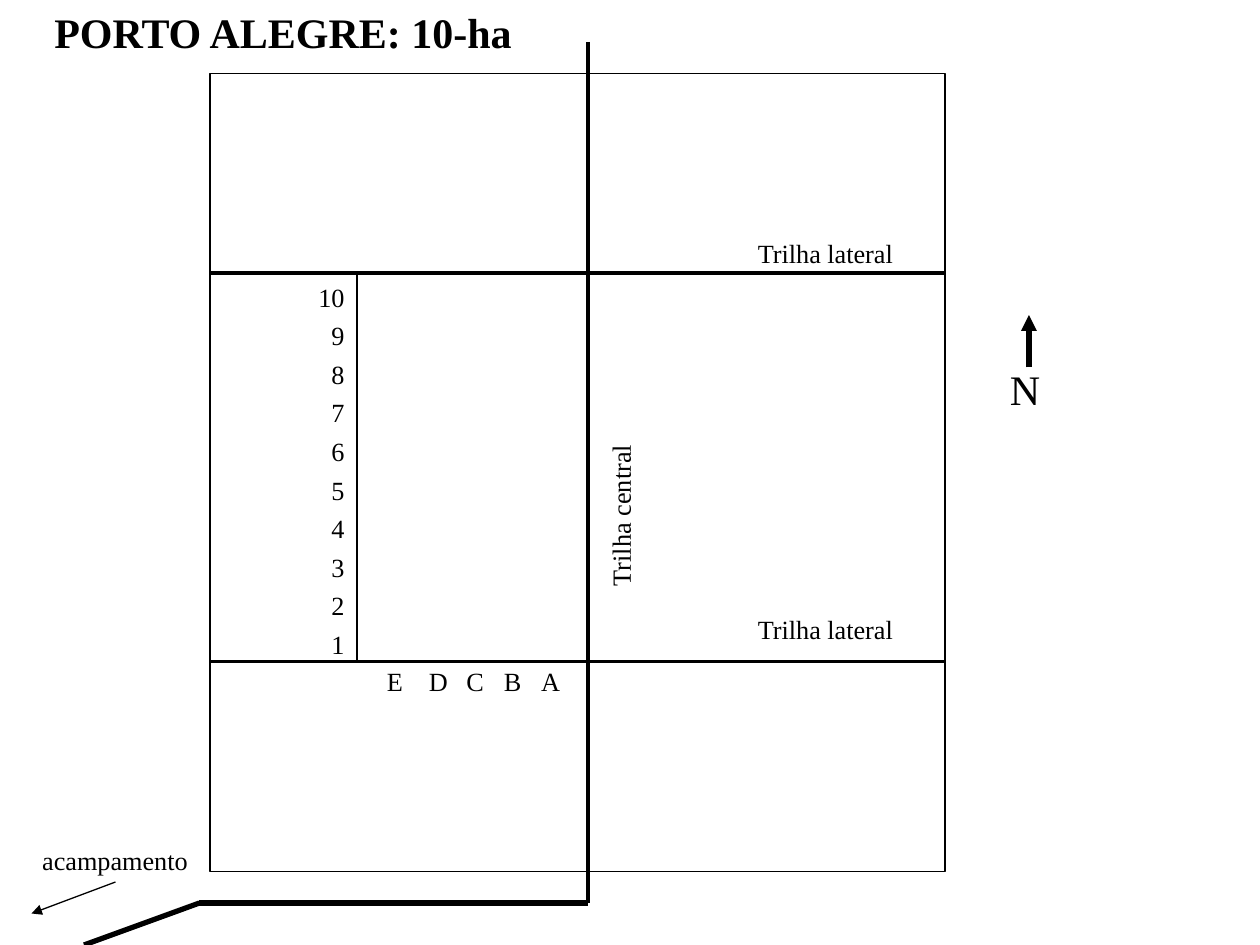
import pptx
import pptx.dml.color
import pptx.enum.shapes
import pptx.enum.text
import pptx.oxml.ns
import pptx.util
from lxml import etree

Pt = pptx.util.Pt
qn = pptx.oxml.ns.qn
BLACK = pptx.dml.color.RGBColor(0, 0, 0)
FONT = "Times New Roman"
LABEL_SIZE = 15


def add_line(slide, start, end, weight, arrow=False):
    line = slide.shapes.add_connector(
        pptx.enum.shapes.MSO_CONNECTOR.STRAIGHT,
        *(Pt(value) for value in (*start, *end)))
    line.line.color.rgb = BLACK
    line.line.width = Pt(weight)
    properties = line._element.spPr
    if arrow:
        outline = properties.find(qn("a:ln"))
        etree.SubElement(outline, qn("a:tailEnd"), type="triangle")
    etree.SubElement(properties, qn("a:effectLst"))


def add_outline(slide, left, top, width, height):
    outline = slide.shapes.add_shape(
        pptx.enum.shapes.MSO_SHAPE.RECTANGLE,
        Pt(left), Pt(top), Pt(width), Pt(height))
    outline.shadow.inherit = False
    outline.fill.background()
    outline.line.color.rgb = BLACK
    outline.line.width = Pt(0.75)


def add_label(slide, box, lines, size=LABEL_SIZE, bold=False, align=None,
              line_spacing=None, space_before=0, tab_stops=()):
    label = slide.shapes.add_textbox(*(Pt(value) for value in box))
    frame = label.text_frame
    frame.word_wrap = True
    for index, line in enumerate(lines):
        paragraph = frame.add_paragraph() if index else frame.paragraphs[0]
        if tab_stops:
            tabs = etree.SubElement(
                paragraph._p.get_or_add_pPr(), qn("a:tabLst"))
            for stop in tab_stops:
                etree.SubElement(
                    tabs, qn("a:tab"), pos=str(int(Pt(stop))), algn="l")
        paragraph.alignment = align
        paragraph.line_spacing = line_spacing
        if index:
            paragraph.space_before = Pt(space_before)
        run = paragraph.add_run()
        run.text = line
        run.font.name = FONT
        run.font.size = Pt(size)
        run.font.bold = bold
        run.font.color.rgb = BLACK
    return label


def add_plot(slide, left, top, width, height):
    """Plot outline, gridded area, lateral trails and central trail."""
    right = left + width
    grid_left, grid_top = left + 84, top + 114
    grid_width, grid_height = 132, 222
    grid_bottom = grid_top + grid_height
    central_x = grid_left + grid_width

    add_outline(slide, left, top, width, height)
    add_outline(slide, grid_left, grid_top, grid_width, grid_height)

    # Trails
    add_line(slide, (central_x, top - 18), (central_x, top + height + 18), 2.25)
    for trail_y in (grid_top, grid_bottom):
        add_line(slide, (left, trail_y), (right, trail_y), 2.25)
    for label_top in (grid_top - 24, grid_bottom - 31):
        add_label(slide, (right - 114, label_top, 150, 25), ["Trilha lateral"])
    central = add_label(
        slide, (central_x - 56.5, grid_top + 98.5, 150, 25), ["Trilha central"])
    central.rotation = 270

    # Row numbers and column letters of the grid
    add_label(slide, (grid_left - 36, grid_top + 6, 36, 218),
              [str(row) for row in range(10, 0, -1)],
              align=pptx.enum.text.PP_ALIGN.RIGHT,
              line_spacing=0.7, space_before=9.4)
    add_label(slide, (grid_left + 10, grid_bottom - 1.5, 150, 25),
              ["\t".join("EDCBA")],
              tab_stops=[24 + 21.4 * column for column in range(4)])


def add_camp_access(slide, left, top, width, height):
    """Path from the central trail towards the camp."""
    bend = (left + 96, top + 37)
    add_line(slide, (left + width, bend[1]), bend, 3)
    add_line(slide, bend, (left + 30, top + height), 3)
    add_label(slide, (left - 1, top, 120, 25), ["acampamento"])
    add_line(slide, (left + 48, top + 25), (left, top + 43), 0.75, arrow=True)


def add_north(slide, left, top, width, height):
    arrow_x = left + 18
    add_line(slide, (arrow_x, top + 30), (arrow_x, top), 3, arrow=True)
    add_label(slide, (left, top + 24, width, height - 24), ["N"], size=24)


def main():
    deck = pptx.Presentation()
    deck.slide_width, deck.slide_height = Pt(720), Pt(540)
    slide = deck.slides.add_slide(deck.slide_layouts[6])

    add_plot(slide, 120, 42, 420, 456)
    add_label(slide, (24, 0, 330, 36), ["PORTO ALEGRE: 10-ha"],
              size=24, bold=True)
    add_camp_access(slide, 18, 479, 318, 61)
    add_north(slide, 570, 180, 42, 60)
    deck.save("out.pptx")


if __name__ == "__main__":
    main()
